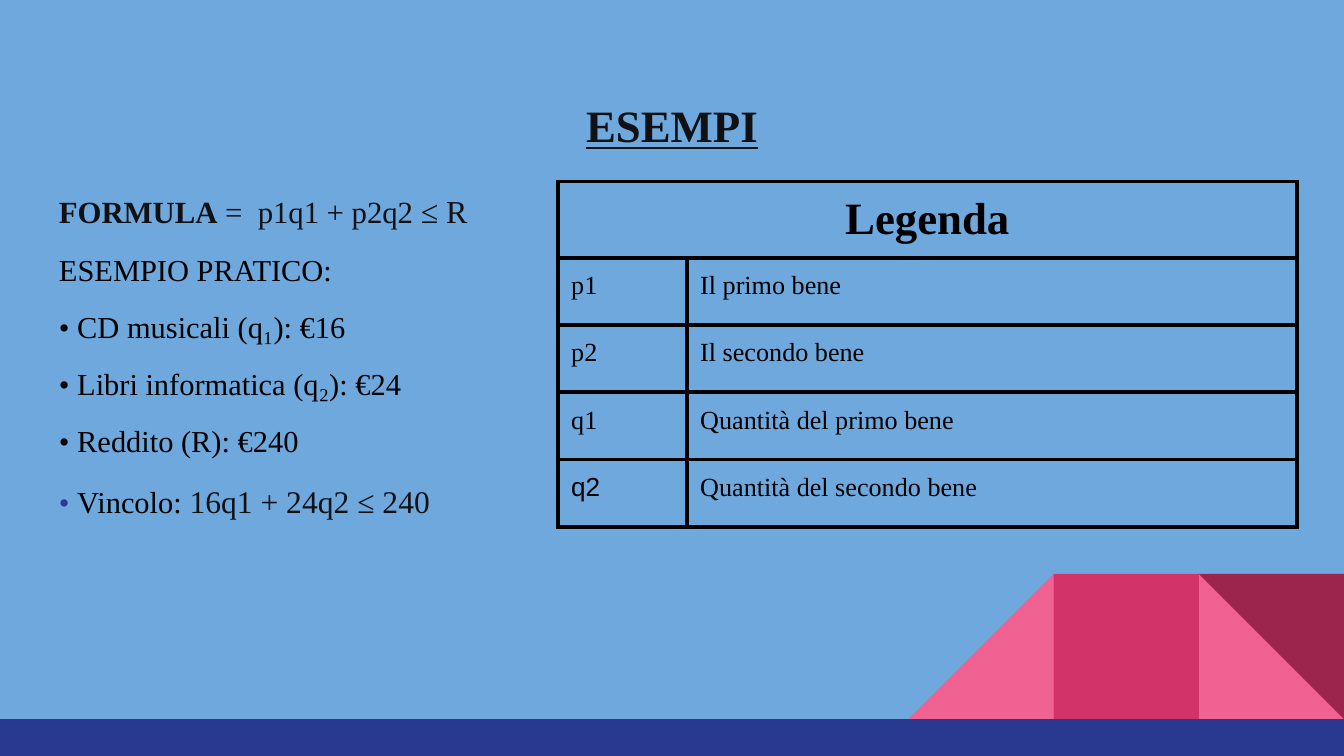
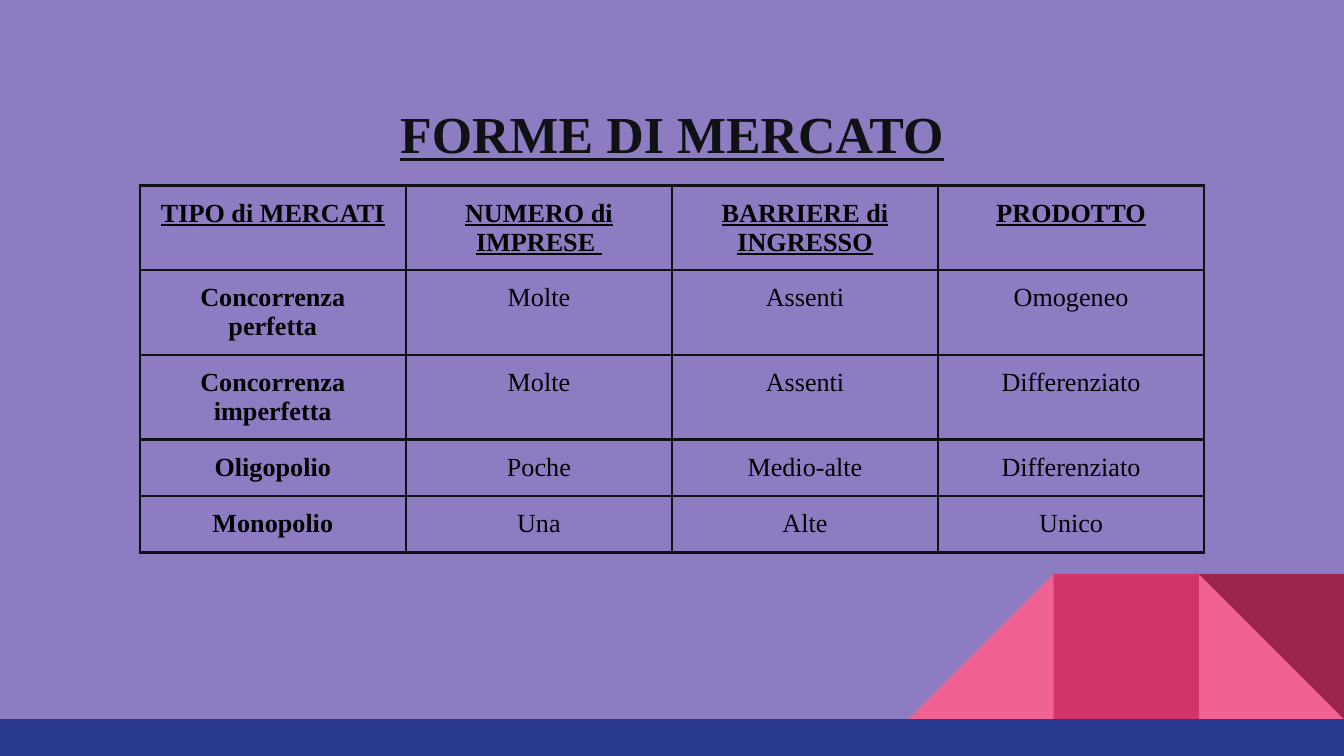
from pptx import Presentation
from pptx.dml.color import RGBColor
from pptx.enum.shapes import MSO_SHAPE
from pptx.enum.text import MSO_ANCHOR, MSO_AUTO_SIZE, PP_ALIGN
from pptx.oxml.ns import qn
from pptx.util import Inches, Pt
from lxml.etree import SubElement

BLUE = RGBColor(0x6F, 0xA8, 0xDC)
PURPLE = RGBColor(0x8E, 0x7C, 0xC3)
PINK = RGBColor(0xF0, 0x62, 0x92)
CRIMSON = RGBColor(0xD2, 0x33, 0x69)
MAROON = RGBColor(0x9C, 0x25, 0x4D)
NAVY = RGBColor(0x2A, 0x39, 0x90)
INK = RGBColor(0x0F, 0x11, 0x15)
BLACK = RGBColor(0, 0, 0)

SERIF = "Times New Roman"
SLIDE_WIDTH = 10
SLIDE_HEIGHT = SLIDE_WIDTH * 9 / 16
BAND_TOP = 5.35
TILE = 1.08
MARGIN = 0.34
CONTENT_WIDTH = SLIDE_WIDTH - 2 * MARGIN


def add_run(paragraph, text, size=14, color=BLACK, bold=False, underline=False, font=SERIF):
    """Append one formatted run to a paragraph."""
    run = paragraph.add_run()
    run.text = text
    run.font.name = font
    run.font.size = Pt(size)
    run.font.bold = bold
    run.font.underline = underline
    run.font.color.rgb = color


def set_frame(frame):
    """Give a text frame equal insets, wrapping and top anchoring."""
    frame.word_wrap = True
    frame.auto_size = MSO_AUTO_SIZE.NONE
    frame.vertical_anchor = MSO_ANCHOR.TOP
    frame.margin_left = frame.margin_right = Inches(0.1)
    frame.margin_top = frame.margin_bottom = Inches(0.1)


def add_block(slide, preset, left, top, width, height, color):
    """Add a flat filled shape without outline."""
    shape = slide.shapes.add_shape(
        preset, Inches(left), Inches(top), Inches(width), Inches(height))
    shape.shadow.inherit = False
    shape.fill.solid()
    shape.fill.fore_color.rgb = color
    shape.line.fill.background()
    return shape


def add_decoration(slide):
    """Draw the row of tiles and the bottom band."""
    triangle, rectangle = MSO_SHAPE.RIGHT_TRIANGLE, MSO_SHAPE.RECTANGLE
    tiles = [(1, triangle, PINK, 0, False), (3, triangle, PINK, 0, True),
             (2, rectangle, CRIMSON, 0, False), (1, triangle, MAROON, 180, False)]
    for from_right, preset, color, rotation, mirrored in tiles:
        tile = add_block(slide, preset, SLIDE_WIDTH - from_right * TILE,
                         BAND_TOP - TILE, TILE, TILE, color)
        tile.rotation = rotation
        if mirrored:
            tile.element.spPr.find(qn("a:xfrm")).set("flipH", "1")
    add_block(slide, rectangle, 0, BAND_TOP, SLIDE_WIDTH, SLIDE_HEIGHT - BAND_TOP, NAVY)


def add_titled_slide(presentation, background, title, size):
    """Add a slide with background, decoration and underlined title."""
    slide = presentation.slides.add_slide(presentation.slide_layouts[5])
    slide.background.fill.solid()
    slide.background.fill.fore_color.rgb = background
    add_decoration(slide)
    shape = slide.shapes.title
    shape.left, shape.top = Inches(MARGIN), Inches(0.45)
    shape.width, shape.height = Inches(CONTENT_WIDTH), Inches(0.66)
    set_frame(shape.text_frame)
    paragraph = shape.text_frame.paragraphs[0]
    paragraph.alignment = PP_ALIGN.CENTER
    paragraph.line_spacing = 1.45
    paragraph.space_before = Pt(24)
    add_run(paragraph, title, size=size, color=INK, bold=True, underline=True)
    return slide


def add_body(slide, lines):
    """Add the body text; each line is a list of (text, format) runs."""
    box = slide.shapes.add_textbox(
        Inches(MARGIN), Inches(1.35), Inches(CONTENT_WIDTH), Inches(3.65))
    frame = box.text_frame
    set_frame(frame)
    for index, runs in enumerate(lines):
        paragraph = frame.add_paragraph() if index else frame.paragraphs[0]
        paragraph.line_spacing = 1.0 if index == len(lines) - 1 else 0.95
        paragraph.space_before = Pt(12 if index else 0)
        for text, style in runs:
            add_run(paragraph, text, **style)


def set_borders(cell, color, width):
    """Draw the four borders of a table cell."""
    properties = cell._tc.get_or_add_tcPr()
    for position, side in enumerate(("a:lnL", "a:lnR", "a:lnT", "a:lnB")):
        line = SubElement(properties, qn(side), w=str(Pt(width)))
        fill = SubElement(line, qn("a:solidFill"))
        SubElement(fill, qn("a:srgbClr"), val=str(color))
        properties.insert(position, line)


def add_grid(slide, left, top, widths, heights, border, border_width):
    """Add a table of transparent, bordered cells."""
    table = slide.shapes.add_table(
        len(heights), len(widths), Inches(left), Inches(top),
        Inches(sum(widths)), Inches(sum(heights))).table
    table.first_row = table.horz_banding = False
    for column, width in zip(table.columns, widths):
        column.width = Inches(width)
    for row, height in zip(table.rows, heights):
        row.height = Inches(height)
    for cell in table.iter_cells():
        cell.fill.background()
        cell.margin_left = cell.margin_right = Inches(0.1)
        cell.margin_top = cell.margin_bottom = Inches(0.1)
        set_borders(cell, border, border_width)
    return table


def write_cell(cell, text, alignment=PP_ALIGN.LEFT, **style):
    """Write formatted text into a table cell."""
    paragraph = cell.text_frame.paragraphs[0]
    paragraph.alignment = alignment
    add_run(paragraph, text, **style)


def add_legend(slide):
    """Add the table that explains the symbols."""
    entries = [("p1", "Il primo bene"), ("p2", "Il secondo bene"),
               ("q1", "Quantità del primo bene"), ("q2", "Quantità del secondo bene")]
    table = add_grid(slide, 4.15, 1.35, [0.96, 4.54],
                     [0.52] + [0.5] * len(entries), BLACK, 2.25)
    table.cell(0, 0).merge(table.cell(0, 1))
    write_cell(table.cell(0, 0), "Legenda", PP_ALIGN.CENTER, size=24, bold=True)
    for row, (symbol, meaning) in enumerate(entries, start=1):
        write_cell(table.cell(row, 0), symbol, font="Arial" if symbol == "q2" else SERIF)
        write_cell(table.cell(row, 1), meaning)


def add_markets(slide):
    """Add the table that compares the forms of market."""
    rows = [
        ("TIPO di MERCATI", "NUMERO di IMPRESE ", "BARRIERE di INGRESSO", "PRODOTTO"),
        ("Concorrenza perfetta", "Molte", "Assenti", "Omogeneo"),
        ("Concorrenza imperfetta", "Molte", "Assenti", "Differenziato"),
        ("Oligopolio", "Poche", "Medio-alte", "Differenziato"),
        ("Monopolio", "Una", "Alte", "Unico"),
    ]
    table = add_grid(slide, 1.04, 1.38, [1.98] * 4, [0.42] * len(rows), INK, 1.5)
    for row, values in enumerate(rows):
        for column, text in enumerate(values):
            write_cell(table.cell(row, column), text, PP_ALIGN.CENTER,
                       bold=row == 0 or column == 0, underline=row == 0)


def main():
    """Build both slides and save the presentation."""
    presentation = Presentation()
    presentation.slide_width = Inches(SLIDE_WIDTH)
    presentation.slide_height = Inches(SLIDE_HEIGHT)

    examples = add_titled_slide(presentation, BLUE, "ESEMPI", 24)
    plain = {"size": 16.3}
    add_body(examples, [
        [("FORMULA", {"size": 16.5, "color": INK, "bold": True}),
         (" =  p1q1 + p2q2 ", {"size": 16.5, "color": INK}),
         ("≤ R", {"size": 17.1, "color": INK})],
        [("ESEMPIO PRATICO:", plain)],
        [("• CD musicali (q₁): €16", plain)],
        [("• Libri informatica (q₂): €24", plain)],
        [("• Reddito (R): €240", plain)],
        [("• ", {"size": 16.3, "color": NAVY}), ("Vincolo: ", plain),
         ("16q1 + 24q2 ≤ 240", {"size": 16.9, "color": INK})],
    ])
    add_legend(examples)

    markets = add_titled_slide(presentation, PURPLE, "FORME DI MERCATO", 27.8)
    add_markets(markets)
    presentation.save("out.pptx")


if __name__ == "__main__":
    main()
